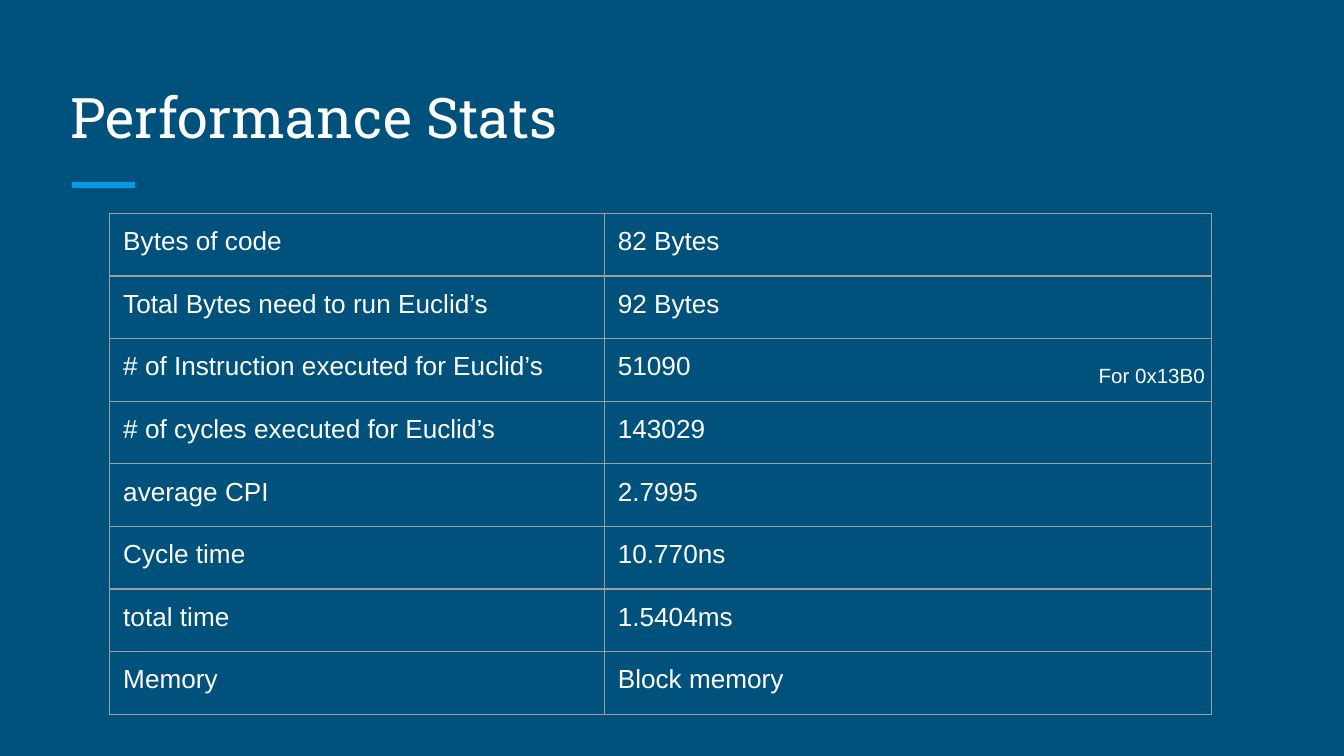
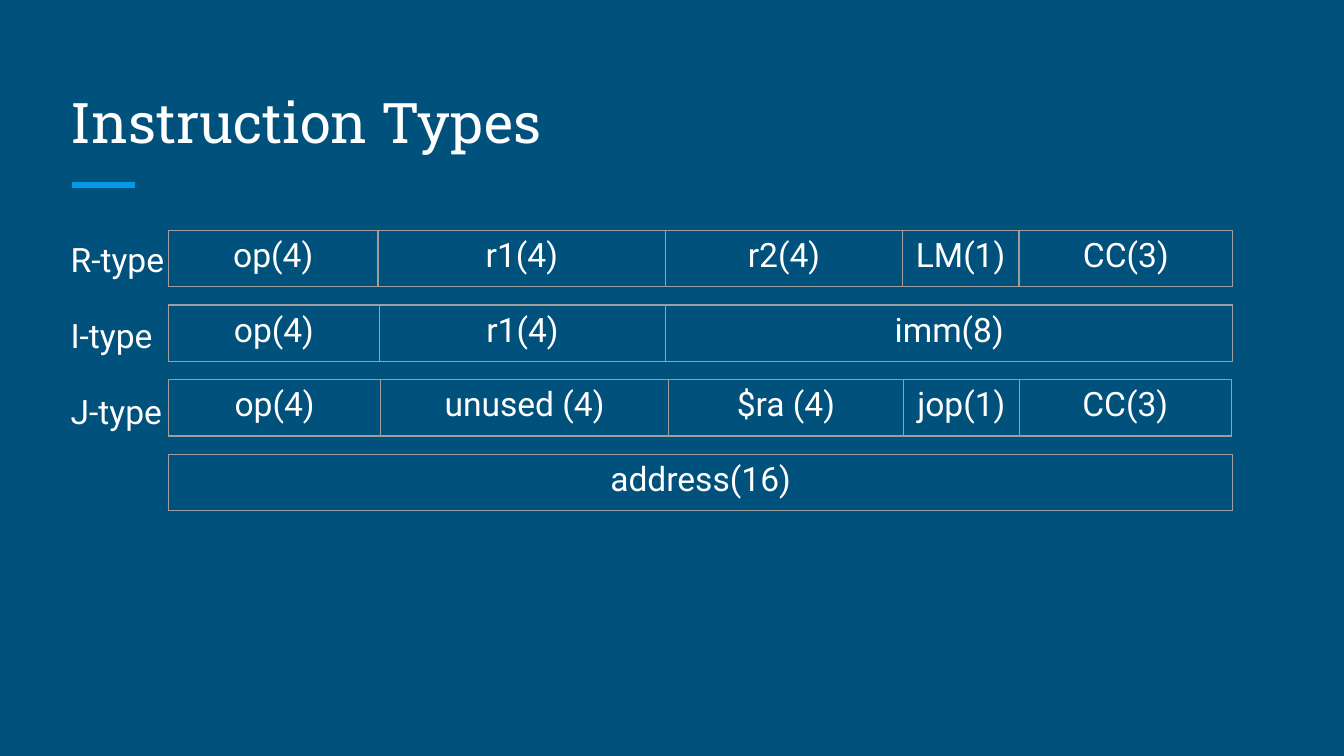
from dataclasses import dataclass
from typing import Any

from lxml import etree
from pptx import Presentation
from pptx.dml.color import RGBColor
from pptx.enum.shapes import MSO_CONNECTOR
from pptx.enum.text import MSO_ANCHOR, MSO_AUTO_SIZE, PP_ALIGN
from pptx.oxml.ns import qn
from pptx.util import Emu, Inches, Pt

STRAIGHT = MSO_CONNECTOR.STRAIGHT
TOP, BOTTOM = MSO_ANCHOR.TOP, MSO_ANCHOR.BOTTOM
FIXED_SIZE = MSO_AUTO_SIZE.NONE
LEFT, CENTER = PP_ALIGN.LEFT, PP_ALIGN.CENTER

WIDTH = Inches(10)
HEIGHT = Emu(WIDTH * 9 // 16)
GRID_COLUMNS, GRID_ROWS = 1000, 562.5
BACKGROUND, ACCENT, TEXT, BORDER = "00517C", "039BE5", "FFFFFF", "9E9E9E"
MARGIN = 10
TITLE_ONLY, TITLE_AND_BODY = 5, 1


@dataclass(frozen=True)
class Area:
    """A rectangle in grid columns and rows."""

    left: float
    top: float
    width: float
    height: float


@dataclass(frozen=True)
class TextStyle:
    """The look of a paragraph."""

    font: str
    size: float
    align: Any = LEFT
    line_spacing: float = 1.0
    space_after: float = 0


@dataclass(frozen=True)
class Grid:
    """A bordered table placed on the slide."""

    left: float
    top: float
    columns: tuple[float, ...]
    row_height: float
    rows: tuple[tuple[str, ...], ...]
    style: TextStyle
    margin: float


TITLE_STYLE = TextStyle("Roboto Slab", 30)
STATS_STYLE = TextStyle("Arial", 14)
NOTE_STYLE = TextStyle("Arial", 11, line_spacing=1.15)
TYPE_STYLE = TextStyle("Roboto", 18, line_spacing=1.15, space_after=16)
FIELD_STYLE = TextStyle("Roboto", 18, CENTER, 1.15)

STATS = (
    ("Bytes of code", "82 Bytes"),
    ("Total Bytes need to run Euclid’s", "92 Bytes"),
    ("# of Instruction executed for Euclid’s", "51090"),
    ("# of cycles executed for Euclid’s", "143029"),
    ("average CPI", "2.7995"),
    ("Cycle time", "10.770ns"),
    ("total time", "1.5404ms"),
    ("Memory", "Block memory"),
)
INSTRUCTION_TYPES = ("R-type", "I-type", "J-type")
INSTRUCTION_FORMATS = (
    (("op(4)", 156), ("r1(4)", 214), ("r2(4)", 176), ("LM(1)", 87), ("CC(3)", 159)),
    (("op(4)", 157), ("r1(4)", 213), ("imm(8)", 422)),
    (("op(4)", 158), ("unused (4)", 214), ("$ra (4)", 175), ("jop(1)", 86), ("CC(3)", 158)),
    (("address(16)", 792),),
)
FORMATS_TOP, FORMAT_PITCH = 171.5, 55.5


def color(value: str) -> RGBColor:
    """Turn a hex string into a colour."""
    return RGBColor.from_string(value)


def across(columns: float) -> Emu:
    """Turn grid columns into a length."""
    return Emu(round(WIDTH * columns / GRID_COLUMNS))


def down(rows: float) -> Emu:
    """Turn grid rows into a length."""
    return Emu(round(HEIGHT * rows / GRID_ROWS))


def bounds(area: Area) -> tuple[Emu, Emu, Emu, Emu]:
    """Give left, top, width and height as lengths."""
    return across(area.left), down(area.top), across(area.width), down(area.height)


def set_margins(target: Any, margin: float) -> None:
    """Set the four inner margins of a cell or text frame."""
    target.margin_left = target.margin_right = across(margin)
    target.margin_top = target.margin_bottom = down(margin)


def write(frame: Any, lines: tuple[str, ...], style: TextStyle) -> None:
    """Write unbulleted lines in one style."""
    frame.text = "\n".join(lines)
    for para in frame.paragraphs:
        properties = para._p.get_or_add_pPr()
        properties.set("marL", "0")
        properties.set("indent", "0")
        etree.SubElement(properties, qn("a:buNone"))
        para.alignment = style.align
        para.line_spacing = style.line_spacing
        para.space_before = Pt(0)
        para.space_after = Pt(style.space_after)
        para.font.name = style.font
        para.font.size = Pt(style.size)
        para.font.color.rgb = color(TEXT)


def fill_box(box: Any, area: Area, lines: tuple[str, ...], style: TextStyle, anchor: Any = TOP) -> None:
    """Place a text box or placeholder and write in it."""
    box.left, box.top, box.width, box.height = bounds(area)
    frame = box.text_frame
    frame.word_wrap = True
    frame.auto_size = FIXED_SIZE
    frame.vertical_anchor = anchor
    set_margins(frame, MARGIN)
    write(frame, lines, style)


def add_accent(page: Any) -> None:
    """Draw the short rule under the title."""
    height = down(137.5)
    rule = page.shapes.add_connector(STRAIGHT, across(53.5), height, across(100.5), height)
    rule.line.color.rgb = color(ACCENT)
    rule.line.width = Pt(3)
    etree.SubElement(rule._element.spPr, qn("a:effectLst"))


def add_page(deck: Any, layout: int, title: str, title_top: float) -> Any:
    """Add a slide with its accent and title."""
    page = deck.slides.add_slide(deck.slide_layouts[layout])
    add_accent(page)
    fill_box(page.shapes.title, Area(42.5, title_top, 915, 75), (title,), TITLE_STYLE, BOTTOM)
    return page


def add_borders(cell: Any) -> None:
    """Draw thin lines on all sides of a cell."""
    properties = cell._tc.get_or_add_tcPr()
    for side in ("lnL", "lnR", "lnT", "lnB"):
        line = etree.SubElement(properties, qn(f"a:{side}"), w=str(Pt(0.75)))
        fill = etree.SubElement(line, qn("a:solidFill"))
        etree.SubElement(fill, qn("a:srgbClr"), val=BORDER)


def add_grid(page: Any, grid: Grid) -> None:
    """Add a table with clear cells and thin borders."""
    area = Area(grid.left, grid.top, sum(grid.columns), grid.row_height * len(grid.rows))
    table = page.shapes.add_table(len(grid.rows), len(grid.columns), *bounds(area)).table
    table.first_row = table.horz_banding = False
    for column, width in zip(table.columns, grid.columns):
        column.width = across(width)
    for row, texts in zip(table.rows, grid.rows):
        row.height = down(grid.row_height)
        for cell, text in zip(row.cells, texts):
            set_margins(cell, grid.margin)
            add_borders(cell)
            cell.fill.background()
            write(cell.text_frame, (text,), grid.style)


def build_stats(deck: Any) -> None:
    """Build the performance table slide."""
    page = add_page(deck, TITLE_ONLY, "Performance Stats", 46.5)
    add_grid(page, Grid(81.7, 158.8, (368, 452), 46.6, STATS, STATS_STYLE, MARGIN))
    area = Area(807.5, 257.5, 178, 36)
    note = page.shapes.add_textbox(*bounds(area))
    fill_box(note, area, ("For 0x13B0",), NOTE_STYLE)


def build_instruction_types(deck: Any) -> None:
    """Build the instruction format slide."""
    page = add_page(deck, TITLE_AND_BODY, "Instruction Types", 50)
    fill_box(page.placeholders[1], Area(42.5, 163, 915, 337), INSTRUCTION_TYPES, TYPE_STYLE)
    for index, fields in enumerate(INSTRUCTION_FORMATS):
        names, widths = zip(*fields)
        top = FORMATS_TOP + index * FORMAT_PITCH
        add_grid(page, Grid(125.3, top, widths, 42, (names,), FIELD_STYLE, 0))


def main() -> None:
    """Build and save the deck."""
    deck = Presentation()
    deck.slide_width, deck.slide_height = WIDTH, HEIGHT
    background = deck.slide_master.background.fill
    background.solid()
    background.fore_color.rgb = color(BACKGROUND)
    build_stats(deck)
    build_instruction_types(deck)
    deck.save("out.pptx")


if __name__ == "__main__":
    main()
